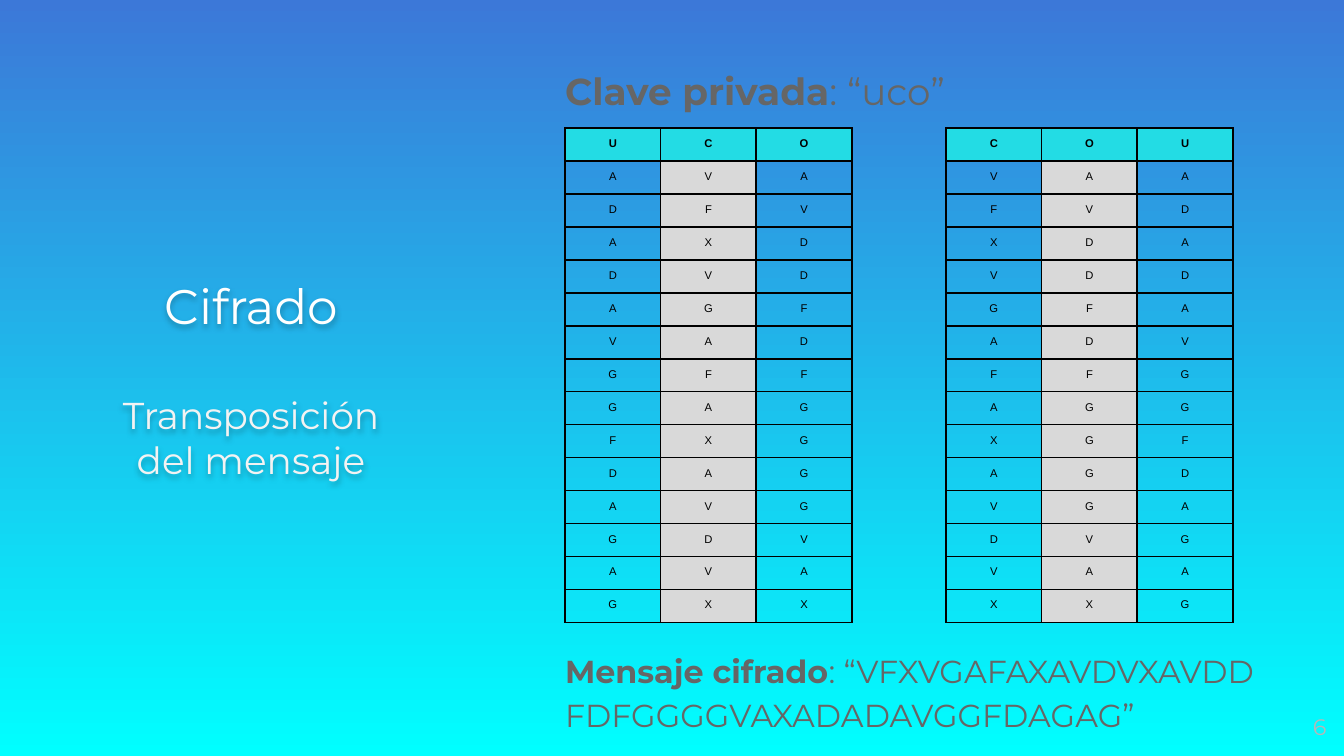
from lxml.etree import SubElement
from pptx import Presentation
from pptx.dml.color import RGBColor
from pptx.enum.text import MSO_ANCHOR, PP_ALIGN
from pptx.oxml import parse_xml
from pptx.oxml.ns import nsdecls, qn
from pptx.util import Inches, Pt

COLORS = {
    "sky": "3C78D8", "aqua": "00FFFF", "header": "23DCE4", "stripe": "D9D9D9",
    "line": "000000", "title": "FFFFFF", "subtitle": "F3F3F3",
    "body": "666666", "number": "B7B7B7",
}

# Each letter of the key heads one column of the transposition
KEY = "UCO"
COLUMNS = {
    "U": "ADADAVGGFDAGAG",
    "C": "VFXVGAFAXAVDVX",
    "O": "AVDDFDFGGGGVAX",
}


def rgb(name):
    return RGBColor.from_string(COLORS[name])


class SlideBuilder:
    """Holds the style and the slide; lengths are percent of the slide's size."""

    text_font, table_font = "Montserrat", "Arial"

    def __init__(self, width, ratio):
        self.deck = Presentation()
        self.deck.slide_width = Inches(width)
        self.deck.slide_height = Inches(width * ratio)
        self.slide = self.deck.slides.add_slide(self.deck.slide_layouts[6])

    def place(self, x, y, w, h):
        across, down = self.deck.slide_width / 100, self.deck.slide_height / 100
        return [round(v) for v in (x * across, y * down, w * across, h * down)]

    def background(self, top, bottom):
        fill = self.slide.background.fill
        fill.gradient()
        fill.gradient_angle = 270
        for stop, name, position in zip(fill.gradient_stops, (top, bottom), (0, 1)):
            stop.color.rgb = rgb(name)
            stop.position = position

    def style(self, paragraph, font_name, size, color, align):
        paragraph.alignment = align
        font = paragraph.font
        font.name, font.size, font.color.rgb = font_name, Pt(size), rgb(color)

    def text(self, box, lines, align=PP_ALIGN.LEFT):
        """Each line is (runs, size, color, space before); a run is (text, bold)."""
        shape = self.slide.shapes.add_textbox(*self.place(*box))
        frame = shape.text_frame
        frame.word_wrap = True
        frame.vertical_anchor = MSO_ANCHOR.MIDDLE
        frame.margin_left = frame.margin_right = 0
        frame.margin_top = frame.margin_bottom = 0
        for i, (runs, size, color, before) in enumerate(lines):
            paragraph = frame.add_paragraph() if i else frame.paragraphs[0]
            self.style(paragraph, self.text_font, size, color, align)
            paragraph.space_before = Pt(before)
            for words, bold in runs:
                run = paragraph.add_run()
                run.text, run.font.bold = words, bold
        return shape

    def statement(self, box, label, value, size):
        runs = [(label, True), (f": “{value}”", False)]
        shape = self.text(box, [(runs, size, "body", 6)])
        paragraph = shape.text_frame.paragraphs[0]
        paragraph.line_spacing, paragraph.space_after = 1.15, Pt(10)

    def soft_shadow(self, shape):
        shape._element.spPr.append(parse_xml(
            f'<a:effectLst {nsdecls("a")}><a:outerShdw blurRad="38100" dist="19050" '
            'dir="5400000"><a:srgbClr val="000000"><a:alpha val="25000"/>'
            '</a:srgbClr></a:outerShdw></a:effectLst>'))

    def borders(self, cell):
        properties = cell._tc.get_or_add_tcPr()
        for i, side in enumerate(("lnL", "lnR", "lnT", "lnB")):
            line = SubElement(properties, qn(f"a:{side}"), w=str(Pt(1)))
            fill = SubElement(line, qn("a:solidFill"))
            SubElement(fill, qn("a:srgbClr"), val=COLORS["line"])
            properties.insert(i, line)

    def letter_table(self, box, order):
        rows = [order, *zip(*(COLUMNS[letter] for letter in order))]
        left, top, width, height = self.place(*box)
        table = self.slide.shapes.add_table(
            len(rows), len(order), left, top, width, height).table
        table.first_row = table.horz_banding = False
        for row, letters in zip(table.rows, rows):
            row.height = height // len(rows)
            is_header = letters is order
            for col, (cell, letter) in enumerate(zip(row.cells, letters)):
                cell.margin_left = cell.margin_right = Inches(0.07)
                cell.margin_top = cell.margin_bottom = Inches(0.07)
                cell.text = letter
                paragraph = cell.text_frame.paragraphs[0]
                self.style(paragraph, self.table_font, 6, "line", PP_ALIGN.CENTER)
                paragraph.font.bold = is_header
                if is_header or col == 1:
                    cell.fill.solid()
                    cell.fill.fore_color.rgb = rgb("header" if is_header else "stripe")
                else:
                    cell.fill.background()
                self.borders(cell)


def main():
    page = SlideBuilder(10, 9 / 16)
    page.background("sky", "aqua")

    # Slide number
    page.text((92.7, 92.3, 6, 7.65), [([("6", False)], 12, "number", 0)],
              PP_ALIGN.RIGHT)

    # Title and subtitle
    title = page.text((7.63, 17.8, 22.1, 64.75), [
        ([("Cifrado", False)], 26, "title", 0),
        ([("Transposición del mensaje", False)], 20, "subtitle", 31),
    ], PP_ALIGN.CENTER)
    page.soft_shadow(title)

    # Private key, above the tables
    body_left, body_width, body_height = 42.04, 54.5, 12.45
    page.statement((body_left, 5.34, body_width, body_height),
                   "Clave privada", KEY.lower(), 20)

    # Columns in key order, then in alphabetical order
    sorted_key = "".join(sorted(KEY))
    for i, order in enumerate((KEY, sorted_key)):
        page.letter_table((body_left + i * 28.35, 16.93, 21.35, 65.45), order)

    # Encrypted message: the sorted columns read one after another
    message = "".join(COLUMNS[letter] for letter in sorted_key)
    page.statement((body_left, 85.05, body_width, body_height),
                   "Mensaje cifrado", f"{message[:18]} {message[18:]}", 17)

    page.deck.save("out.pptx")


if __name__ == "__main__":
    main()
